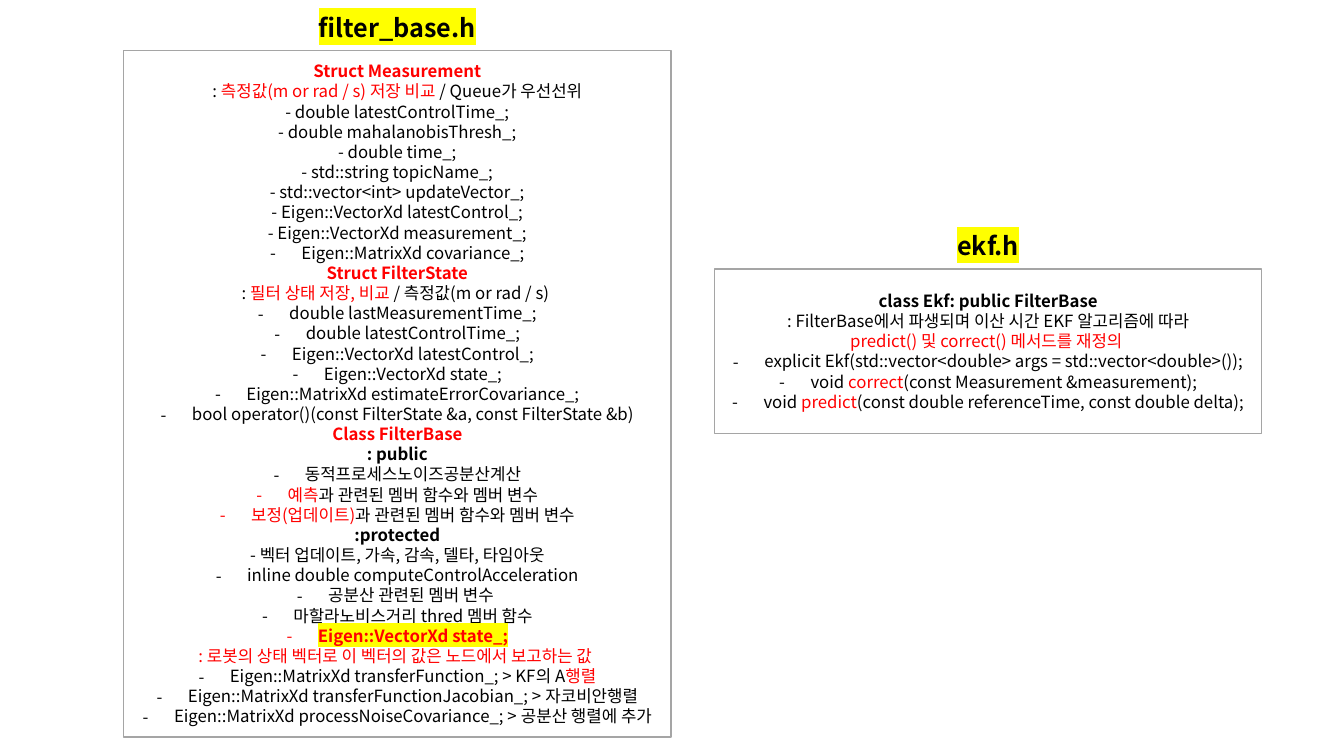
from dataclasses import dataclass

from lxml import etree
from pptx import Presentation
from pptx.dml.color import RGBColor
from pptx.enum.shapes import MSO_SHAPE
from pptx.enum.text import MSO_ANCHOR, PP_ALIGN
from pptx.oxml.ns import qn
from pptx.util import Cm, Pt

RECTANGLE = MSO_SHAPE.RECTANGLE
MIDDLE = MSO_ANCHOR.MIDDLE
CENTER = PP_ALIGN.CENTER


@dataclass(frozen=True)
class Theme:
    font: str = "Noto Sans CJK KR"
    black: RGBColor = RGBColor(0, 0, 0)
    red: RGBColor = RGBColor(255, 0, 0)
    yellow: str = "FFFF00"
    border: RGBColor = RGBColor(0xA5, 0xA5, 0xA5)
    title_size: Pt = Pt(18)
    body_size: Pt = Pt(12)
    line_pitch: Pt = Pt(14.4)
    border_width: Pt = Pt(1)


THEME = Theme()
PANEL_WIDTH = 13.79
TITLE_WIDTH = 5.94
TITLE_HEIGHT = 1.37
TITLE_RISE = 1.27
ITEM_INDENT = Cm(0.79)


def styled(text, color=THEME.black, bold=False, marked=False):
    return {"text": text, "color": color, "bold": bold, "marked": marked}


def red(text):
    return styled(text, THEME.red)


def line(*runs, item=False):
    return item, [styled(run) if isinstance(run, str) else run for run in runs]


def item(*runs):
    return line(*runs, item=True)


def heading(text, color=THEME.black):
    return line(styled(text, color, bold=True))


def items(*texts):
    return [item(text) for text in texts]


FILTER_BASE = [
    heading("Struct Measurement", THEME.red),
    line(": ", red("측정값(m or rad / s) 저장 비교 "), "/ Queue가 우선선위"),
    line("- double latestControlTime_;"),
    line("- double mahalanobisThresh_;"),
    line("- double time_;"),
    line("- std::string topicName_;"),
    line("- std::vector<int> updateVector_;"),
    line("- Eigen::VectorXd latestControl_;"),
    line("- Eigen::VectorXd measurement_;"),
    item("Eigen::MatrixXd covariance_;"),
    heading("Struct FilterState", THEME.red),
    line(": ", red("필터 상태 저장, 비교 "), "/ 측정값(m or rad / s) "),
    *items(
        "double lastMeasurementTime_;",
        "double latestControlTime_;",
        "Eigen::VectorXd latestControl_;",
        "Eigen::VectorXd state_;",
        "Eigen::MatrixXd estimateErrorCovariance_;",
        "bool operator()(const FilterState &a, const FilterState &b)",
    ),
    heading("Class FilterBase", THEME.red),
    heading(": public"),
    item("동적프로세스노이즈공분산계산"),
    item(red("예측"), "과 관련된 멤버 함수와 멤버 변수"),
    item(red("보정(업데이트)"), "과 관련된 멤버 함수와 멤버 변수"),
    heading(":protected"),
    line("- 벡터 업데이트, 가속, 감속, 델타, 타임아웃"),
    *items(
        "inline double computeControlAcceleration",
        "공분산 관련된 멤버 변수 ",
        "마할라노비스거리 thred 멤버 함수",
    ),
    item(styled("Eigen::VectorXd state_;", THEME.red, bold=True, marked=True)),
    line(red(": 로봇의 상태 벡터로 이 벡터의 값은 노드에서 보고하는 값 ")),
    item("Eigen::MatrixXd transferFunction_; > KF의 A", red("행렬")),
    *items(
        "Eigen::MatrixXd transferFunctionJacobian_; > 자코비안행렬",
        "Eigen::MatrixXd processNoiseCovariance_; > 공분산 행렬에 추가",
    ),
]

EKF = [
    heading("class Ekf: public FilterBase"),
    line(": FilterBase에서 파생되며 이산 시간 EKF 알고리즘에 따라"),
    line(red("predict() 및 correct() 메서드를 재정의 ")),
    item("explicit Ekf(std::vector<double> args = std::vector<double>());"),
    item("void ", red("correct"), "(const Measurement &measurement);"),
    item("void ", red("predict"), "(const double referenceTime, const double delta);"),
]


def apply_format(target, values):
    for name, value in values.items():
        setattr(target, name, value)


def add_dash(paragraph):
    properties = paragraph._p.get_or_add_pPr()
    properties.set("marL", str(ITEM_INDENT))
    properties.set("indent", str(-ITEM_INDENT))
    etree.SubElement(properties, qn("a:buFont")).set("typeface", THEME.font)
    etree.SubElement(properties, qn("a:buChar")).set("char", "-")


def add_run(paragraph, style, size):
    run = paragraph.add_run()
    run.text = style["text"]
    apply_format(run.font, {"size": size, "bold": style["bold"], "name": THEME.font})
    run.font.color.rgb = style["color"]
    properties = run._r.get_or_add_rPr()
    latin = properties.find(qn("a:latin"))
    east_asian = etree.Element(qn("a:ea"), typeface=THEME.font)
    latin.addnext(east_asian)
    if style["marked"]:
        highlight = etree.Element(qn("a:highlight"))
        etree.SubElement(highlight, qn("a:srgbClr")).set("val", THEME.yellow)
        latin.addprevious(highlight)


def write_lines(frame, lines, size, pitch=None):
    apply_format(frame, {"word_wrap": True, "vertical_anchor": MIDDLE})
    for index, (is_item, runs) in enumerate(lines):
        paragraph = frame.add_paragraph() if index else frame.paragraphs[0]
        apply_format(paragraph, {"alignment": CENTER, "line_spacing": pitch})
        if is_item:
            add_dash(paragraph)
        for style in runs:
            add_run(paragraph, style, size)


def add_file_title(slide, name, left, top):
    title = slide.shapes.add_textbox(
        Cm(left + (PANEL_WIDTH - TITLE_WIDTH) / 2), Cm(top - TITLE_RISE),
        Cm(TITLE_WIDTH), Cm(TITLE_HEIGHT))
    title_line = line(styled(name, bold=True, marked=True))
    write_lines(title.text_frame, [title_line], THEME.title_size)


def add_header_file(slide, name, left, top, height, lines):
    panel = slide.shapes.add_shape(
        RECTANGLE, Cm(left), Cm(top), Cm(PANEL_WIDTH), Cm(height))
    panel.shadow.inherit = False
    panel.fill.background()
    panel.line.color.rgb = THEME.border
    panel.line.width = THEME.border_width
    write_lines(panel.text_frame, lines, THEME.body_size, THEME.line_pitch)
    add_file_title(slide, name, left, top)


def main():
    presentation = Presentation()
    apply_format(presentation, {"slide_width": Cm(33.87), "slide_height": Cm(19.05)})
    slide = presentation.slides.add_slide(presentation.slide_layouts[6])
    add_header_file(slide, "ekf.h", 18.01, 6.78, 4.14, EKF)
    add_header_file(slide, "filter_base.h", 3.12, 1.27, 17.3, FILTER_BASE)
    presentation.save("out.pptx")


if __name__ == "__main__":
    main()
